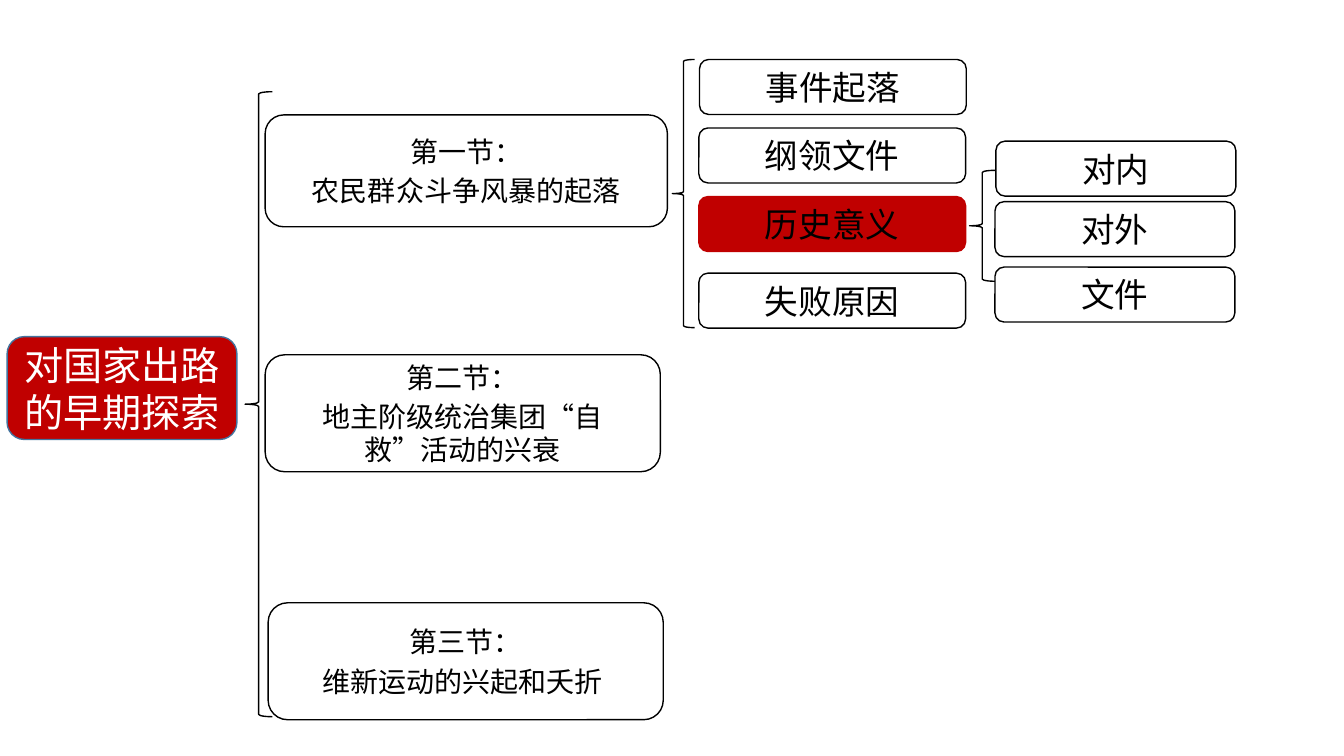
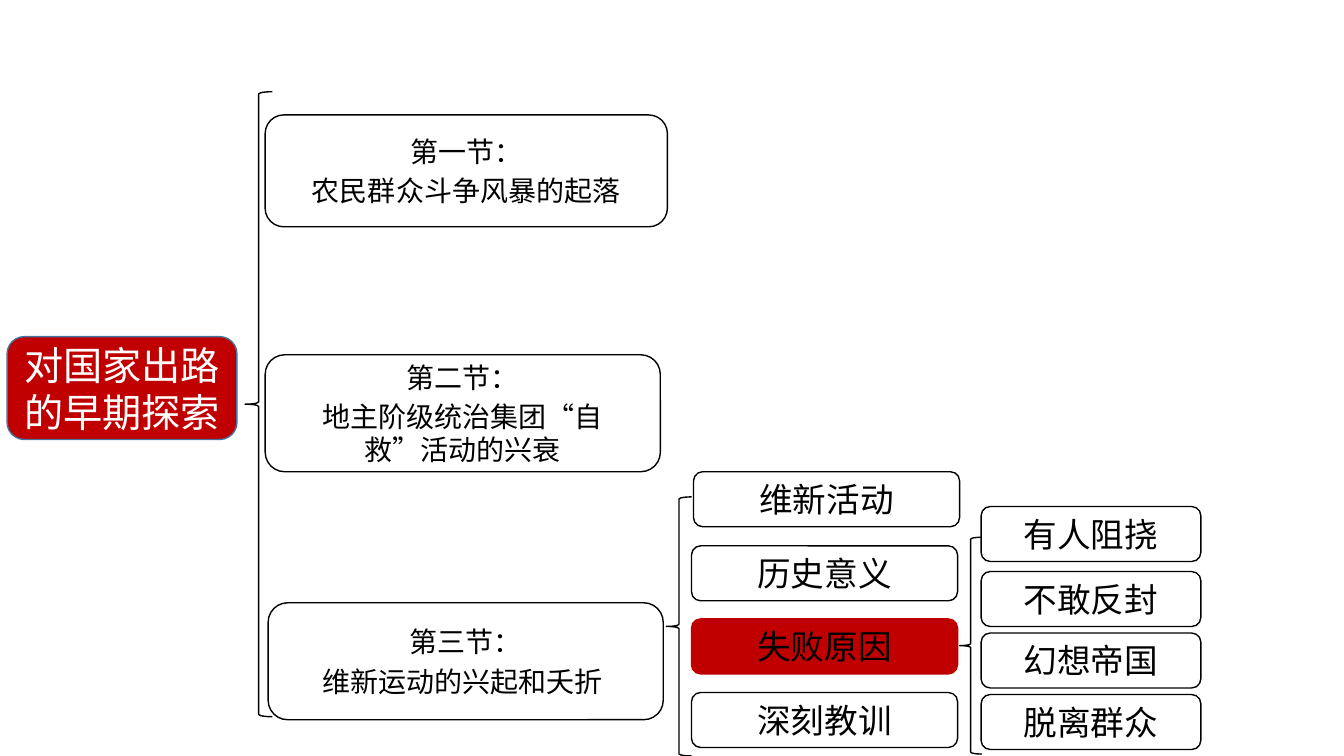
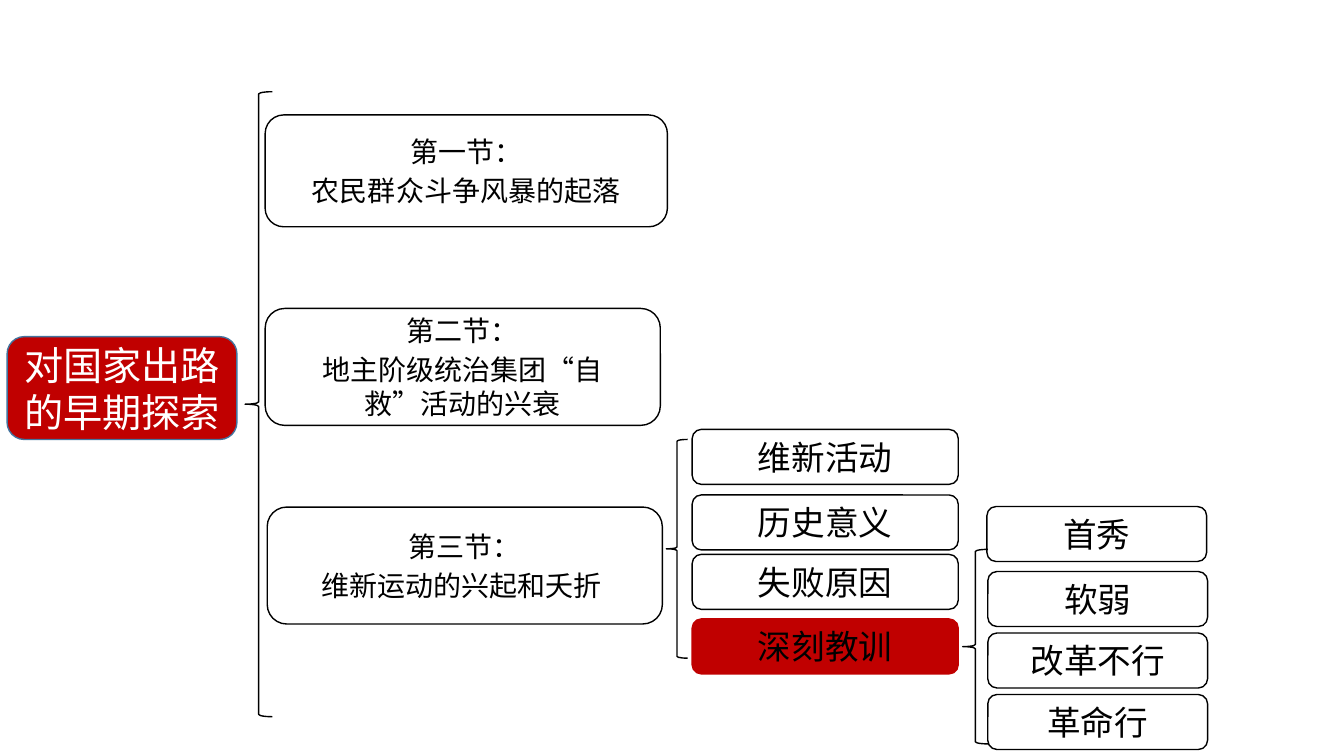
from lxml import etree
from pptx import Presentation, util as u
from pptx.dml.color import RGBColor
from pptx.enum import shapes, text
from pptx.oxml.ns import qn

FONT = "Noto Sans CJK SC"
HUE = {"ink": "000000", "paper": "FFFFFF", "red": "C00000", "edge": "43739E"}
LOOK = {
    "root": dict(fill="red", line="edge", ink="paper", size=28),
    "part": dict(fill="paper", line="ink", ink="ink", size=20),
    "leaf": dict(fill=None, line="ink", ink="ink", size=24),
    "key": dict(fill="red", line="red", ink="ink", size=24),
}
KIND = shapes.MSO_SHAPE

deck = Presentation()
deck.slide_width, deck.slide_height = u.Inches(13.333), u.Inches(7.5)
back = deck.slide_master.background.fill
back.solid()
back.fore_color.rgb = RGBColor.from_string(HUE["paper"])


def draw(page, kind, area, fill=None, line="ink"):
    """Add a shape; area is left, top, width, height in percent of the slide."""
    size = (deck.slide_width, deck.slide_height) * 2
    item = page.shapes.add_shape(kind, *(int(a * s / 100) for a, s in zip(area, size)))
    item.shadow.inherit = False
    if fill:
        item.fill.solid()
        item.fill.fore_color.rgb = RGBColor.from_string(HUE[fill])
    else:
        item.fill.background()
    item.line.color.rgb = RGBColor.from_string(HUE[line])
    item.line.width = u.Pt(1)
    return item


def label(page, area, look, *lines):
    """Add a rounded box with one centred paragraph per line."""
    style = LOOK[look]
    item = draw(page, KIND.ROUNDED_RECTANGLE, area, style["fill"], style["line"])
    frame = item.text_frame
    frame.word_wrap = True
    frame.vertical_anchor = text.MSO_ANCHOR.MIDDLE
    for i, line in enumerate(lines):
        para = frame.add_paragraph() if i else frame.paragraphs[0]
        para.alignment = text.PP_ALIGN.CENTER
        if i:
            para.space_before = u.Pt(style["size"] * 0.2)
        run = para.add_run()
        run.text = line
        for name, value in dict(name=FONT, size=u.Pt(style["size"])).items():
            setattr(run.font, name, value)
        run.font.color.rgb = RGBColor.from_string(HUE[style["ink"]])
        east = etree.SubElement(run.font._element, qn("a:ea"))
        east.set("typeface", FONT)


PARTS = [
    ("第一节：", "农民群众斗争风暴的起落"),
    ("第二节：", "地主阶级统治集团“自救”活动的兴衰"),
    ("第三节：", "维新运动的兴起和夭折 "),
]
ROW = 7.27  # height of a leaf box
LATE = ["维新活动", "历史意义", "失败原因", "深刻教训"]
LOW = [67, 75.6, 83.73, 91.87]

# Each branch: brace area, first left, left of the others, width, tops, words
PAGES = [
    dict(tops=[15.2, 46.93, 79.73], last=19.95, key="历史意义", branches=[
        ((50.03, 7.87, 1.65, 35.47), 52.05, 52, 19.85, [7.87, 16.93, 26, 36.13],
         ["事件起落", "纲领文件", "历史意义", "失败原因"]),
        ((72.15, 22.53, 1.88, 14.67), 74.1, 74.03, 17.85, [18.67, 26.67, 35.33],
         ["对内", "对外", "文件"]),
    ]),
    dict(tops=[15.2, 46.93, 79.73], last=19.95, key="失败原因", branches=[
        ((49.58, 65.73, 1.88, 34.27), 51.6, 51.45, 19.8, [62.4, 72.2, 81.87, 91.6], LATE),
        ((71.4, 71.07, 1.65, 28.67), 73, 73, 16.35, LOW,
         ["有人阻挠", "不敢反封", "幻想帝国", "脱离群众"]),
    ]),
    dict(tops=[15.2, 40.8, 67.07], last=19.88, key="深刻教训", branches=[
        ((49.58, 58.13, 1.58, 28.93), 51.5, 51.5, 19.8, [56.8, 65.47, 73.33, 81.87], LATE),
        ((71.63, 72.67, 1.88, 25.73), 73.43, 73.5, 16.35, LOW,
         ["首秀", "软弱", "改革不行", "革命行"]),
    ]),
]

for plan in PAGES:
    page = deck.slides.add_slide(deck.slide_layouts[6])
    label(page, (0.53, 44.53, 17.1, 13.6), "root", "对国家出路的早期探索")
    draw(page, KIND.LEFT_BRACE, (18.23, 12.13, 2.03, 82.67))

    sides = [19.73, 19.73, plan["last"]]
    sizes = [(29.93, 14.8), (29.4, 15.47), (29.4, 15.47)]
    for left, top, size, words in zip(sides, plan["tops"], sizes, PARTS):
        label(page, (left, top, *size), "part", *words)

    for brace, first, left, wide, tops, words in plan["branches"]:
        draw(page, KIND.LEFT_BRACE, brace)
        for i, (top, word) in enumerate(zip(tops, words)):
            look = "key" if word == plan["key"] else "leaf"
            label(page, (left if i else first, top, wide, ROW), look, word)

deck.save("out.pptx")
